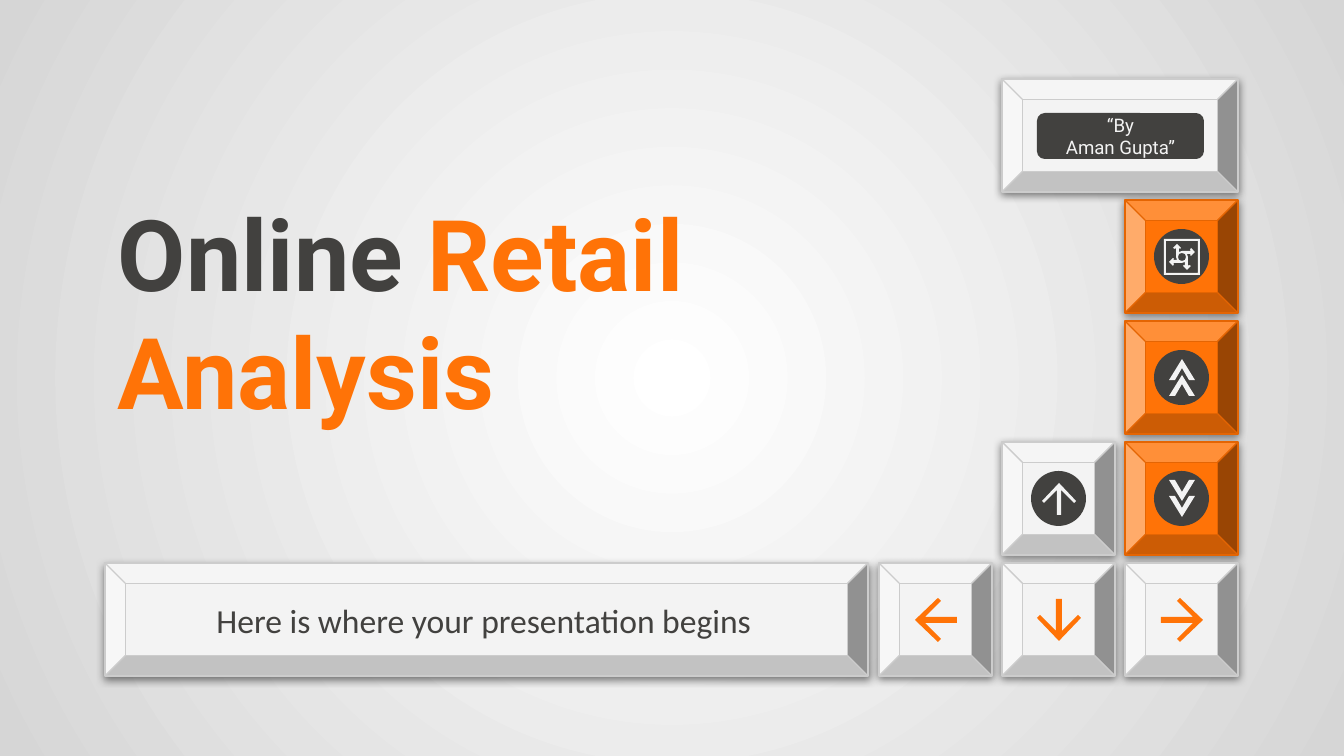
from collections import namedtuple
from dataclasses import dataclass

from lxml import etree
from pptx import Presentation
from pptx.dml.color import RGBColor
from pptx.enum.shapes import MSO_SHAPE
from pptx.enum.text import MSO_ANCHOR, PP_ALIGN
from pptx.oxml.ns import qn
from pptx.util import Pt

BEVEL, CIRCLE, ROUNDED = MSO_SHAPE.BEVEL, MSO_SHAPE.OVAL, MSO_SHAPE.ROUNDED_RECTANGLE
MIDDLE = MSO_ANCHOR.MIDDLE
LEFT, CENTER = PP_ALIGN.LEFT, PP_ALIGN.CENTER

PAGE_WIDTH, PAGE_HEIGHT = 1344, 756
SCALE = 9144000 / PAGE_WIDTH
KEY = 113
MID = 57
GRID_LEFT, GRID_TOP = 879, 79
COLUMN_STEP, ROW_STEP = 123, 121

Box = namedtuple("Box", "left top width height")


@dataclass(frozen=True)
class Theme:
    dark: str = "42413F"
    light: str = "F3F3F3"
    light_edge: str = "CCCCCC"
    accent: str = "FF7307"
    accent_edge: str = "E46503"
    glow: str = "FFFFFF"
    rim: str = "D6D6D6"
    heading_font: str = "Roboto"
    body_font: str = "Calibri"
    title_size: int = 53
    subtitle_size: int = 18
    label_size: int = 10


THEME = Theme()

CHEVRON = [(50, 59), (44, 59), (57, 38), (70, 59), (64, 59), (57, 47)]
CHEVRON_GAP = 16
RIGHT_ARROW = [(-2, -22), (-5, -19), (11, -3), (-21, -3), (-21, 3),
               (11, 3), (-5, 19), (-2, 22), (21, 0)]
CROP_ARM = [(-3, -5), (-3, -9), (-2, -8), (-1, -9), (-5, -13),
            (-9, -9), (-7, -8), (-6, -9), (-6, 0)]
CROP_HOLE = [(4, 0), (3, 3)]


def emu(px):
    return round(px * SCALE)


def within(box, left, top, width, height):
    return Box(box.left + left, box.top + top, width, height)


def key_box(column, row, columns=1):
    return Box(GRID_LEFT + column * COLUMN_STEP, GRID_TOP + row * ROW_STEP,
               KEY + (columns - 1) * COLUMN_STEP, KEY)


def rgb(value):
    return RGBColor.from_string(value)


def turn(points, quarters):
    """Rotate points clockwise about the origin by quarter turns."""
    for _ in range(quarters):
        points = [(-y, x) for x, y in points]
    return points


def centre(points, percent=100):
    return [(MID + round(x * percent / 100), MID + round(y * percent / 100))
            for x, y in points]


def add_preset(page, kind, box, fill, adjustment=None):
    shape = page.shapes.add_shape(kind, *map(emu, box))
    shape.shadow.inherit = False
    shape.fill.solid()
    shape.fill.fore_color.rgb = rgb(fill)
    shape.line.fill.background()
    if adjustment is not None:
        shape.adjustments[0] = adjustment
    return shape


def add_outline(page, box, contours, fill):
    """Draw closed contours, given in px from the corner of the box, as one shape."""
    (first, *rest), *others = contours
    builder = page.shapes.build_freeform(*first, scale=SCALE)
    builder.add_line_segments(rest, close=True)
    for start, *points in others:
        builder.move_to(*start)
        builder.add_line_segments(points, close=True)
    shape = builder.convert_to_shape(emu(box.left), emu(box.top))
    shape.shadow.inherit = False
    shape.fill.solid()
    shape.fill.fore_color.rgb = rgb(fill)
    shape.line.fill.background()


def write(frame, paragraphs, align, font, size):
    """Fill a text frame with paragraphs, each a list of (text, colour, bold)."""
    frame.word_wrap = True
    frame.vertical_anchor = MIDDLE
    for side in ("left", "top", "right", "bottom"):
        setattr(frame, f"margin_{side}", emu(13))
    for index, spans in enumerate(paragraphs):
        para = frame.add_paragraph() if index else frame.paragraphs[0]
        para.alignment = align
        for text, colour, bold in spans:
            span = para.add_run()
            span.text = text
            for name, value in {"name": font, "size": Pt(size), "bold": bold}.items():
                setattr(span.font, name, value)
            span.font.color.rgb = rgb(colour)


def draw_key(page, box, accent=False):
    fill, edge = ((THEME.accent, THEME.accent_edge) if accent
                  else (THEME.light, THEME.light_edge))
    key = add_preset(page, BEVEL, box, fill, 0.18)
    key.line.color.rgb = rgb(edge)
    key.line.width = Pt(0.75)
    effects = key.element.spPr.find(qn("a:effectLst"))
    shadow = etree.SubElement(effects, qn("a:outerShdw"), blurRad=str(Pt(4.5)),
                              dist=str(Pt(1.5)), dir="5400000",
                              algn="bl", rotWithShape="0")
    colour = etree.SubElement(shadow, qn("a:srgbClr"), val="000000")
    etree.SubElement(colour, qn("a:alpha"), val="50000")


def draw_disc(page, box):
    add_preset(page, CIRCLE, within(box, 29, 29, 55, 55), THEME.dark)


def draw_arrow_key(page, box, quarters):
    draw_key(page, box)
    add_outline(page, box, [centre(turn(RIGHT_ARROW, quarters))], THEME.accent)


def draw_disc_arrow_key(page, box):
    draw_key(page, box)
    draw_disc(page, box)
    add_outline(page, box, [centre(turn(RIGHT_ARROW, 3), 78)], THEME.light)


def draw_chevron_key(page, box, down):
    draw_key(page, box, accent=True)
    draw_disc(page, box)
    for shift in (0, CHEVRON_GAP):
        points = [(x, y + shift) for x, y in CHEVRON]
        if down:
            points = [(x, KEY - y) for x, y in points]
        add_outline(page, box, [points], THEME.light)


def draw_crop_key(page, box):
    draw_key(page, box, accent=True)
    draw_disc(page, box)
    frame = [[(39, 39), (75, 39), (75, 75), (39, 75)],
             [(41, 41), (41, 73), (73, 73), (73, 41)]]
    add_outline(page, box, frame, THEME.light)
    arms = [point for quarters in (0, 3, 2, 1) for point in turn(CROP_ARM, quarters)]
    hole = [point for quarters in range(4) for point in turn(CROP_HOLE, quarters)]
    add_outline(page, box, [centre(arms), centre(hole)], THEME.light)


def draw_author_key(page, box):
    draw_key(page, box)
    label = add_preset(page, ROUNDED, within(box, 35, 34, 167, 46), THEME.dark, 0.17)
    lines = [[(text, THEME.light, False)] for text in ("“By", "Aman Gupta”")]
    write(label.text_frame, lines, CENTER, THEME.heading_font, THEME.label_size)


def draw_space_key(page, box):
    draw_key(page, box)
    text_box = page.shapes.add_textbox(*map(emu, within(box, 22, 20, 714, 74)))
    write(text_box.text_frame,
          [[("Here is where your presentation begins", THEME.dark, False)]],
          CENTER, THEME.body_font, THEME.subtitle_size)


def draw_title(page, box):
    text_box = page.shapes.add_textbox(*map(emu, box))
    spans = [("Online ", THEME.dark, True), ("Retail Analysis", THEME.accent, True)]
    write(text_box.text_frame, [spans], LEFT, THEME.heading_font, THEME.title_size)


def paint_background(page):
    fill = page.background.fill
    fill.gradient()
    for stop, colour in zip(fill.gradient_stops, (THEME.glow, THEME.rim)):
        stop.color.rgb = rgb(colour)
    linear = page.element.find(".//" + qn("a:lin"))
    radial = etree.Element(qn("a:path"), attrib={"path": "circle"})
    etree.SubElement(radial, qn("a:fillToRect"),
                     attrib=dict.fromkeys("ltrb", "50000"))
    linear.getparent().replace(linear, radial)


def main():
    deck = Presentation()
    deck.slide_width, deck.slide_height = emu(PAGE_WIDTH), emu(PAGE_HEIGHT)
    page = deck.slides.add_slide(deck.slide_layouts[6])
    paint_background(page)
    draw_space_key(page, Box(105, key_box(0, 4).top, 763, KEY))
    draw_title(page, Box(105, 79, 892, 464))
    draw_author_key(page, key_box(1, 0, columns=2))
    draw_crop_key(page, key_box(2, 1))
    draw_chevron_key(page, key_box(2, 2), down=False)
    draw_disc_arrow_key(page, key_box(1, 3))
    draw_chevron_key(page, key_box(2, 3), down=True)
    for column, quarters in enumerate((2, 1, 0)):
        draw_arrow_key(page, key_box(column, 4), quarters)
    deck.save("out.pptx")


if __name__ == "__main__":
    main()
